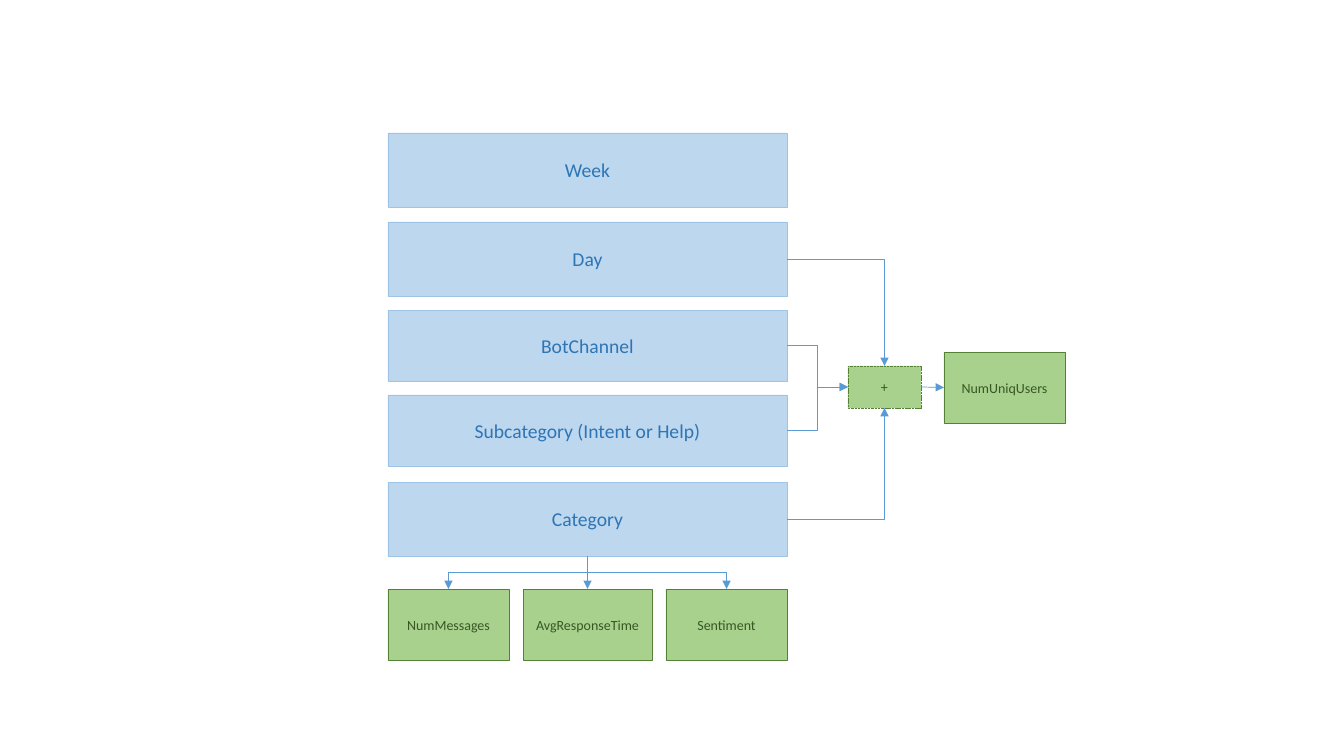
from lxml import etree
from pptx import Presentation
from pptx.dml.color import RGBColor
from pptx.enum.dml import MSO_LINE
from pptx.enum.shapes import MSO_CONNECTOR as CONNECTOR, MSO_SHAPE
from pptx.enum.text import MSO_ANCHOR, PP_ALIGN
from pptx.oxml.ns import qn
from pptx.util import Pt

# Content: levels with top and height, metrics with width
LEVELS = [
    ("Week", 133, 74),
    ("Day", 222, 74),
    ("BotChannel", 310, 71),
    ("Subcategory (Intent or Help)", 395, 71),
    ("Category", 482, 74),
]
METRICS = [("NumMessages", 121), ("AvgResponseTime", 129), ("Sentiment", 121)]
JOIN, RESULT = "+", "NumUniqUsers"

COLORS = {
    "level_fill": "BDD7EE", "level_line": "9DC3E6", "level_text": "2E75B6",
    "metric_fill": "A9D18E", "metric_line": "548235", "metric_text": "385723",
    "arrow": "5B9BD5",
}
FONT = "Calibri"
FONT_SIZES = {"level": 14, "metric": 10}

# Layout in pixels
SCALE = 914400 / 100.8
LEFT, LEVEL_WIDTH = 388, 399
METRIC_TOP, METRIC_HEIGHT = 589, 71
METRIC_GAP = (LEVEL_WIDTH - sum(width for _, width in METRICS)) / (len(METRICS) - 1)
TOP, BOTTOM, RIGHT_SIDE, LEFT_SIDE = 0, 2, 3, 1  # connection sites of a rectangle


def px(value):
    return round(value * SCALE)


def color(name):
    return RGBColor.from_string(COLORS[name])


presentation = Presentation()
presentation.slide_width, presentation.slide_height = px(1344), px(756)
slide = presentation.slides.add_slide(presentation.slide_layouts[6])


def add_box(text, kind, left, top, width, height):
    shape = slide.shapes.add_shape(
        MSO_SHAPE.RECTANGLE, px(left), px(top), px(width), px(height))
    shape.shadow.inherit = False
    shape.fill.solid()
    shape.fill.fore_color.rgb = color(kind + "_fill")
    shape.line.color.rgb = color(kind + "_line")
    shape.line.width = Pt(0.5)
    frame = shape.text_frame
    frame.word_wrap = True
    frame.vertical_anchor = MSO_ANCHOR.MIDDLE
    frame.margin_left = frame.margin_right = px(4)
    paragraph = frame.paragraphs[0]
    paragraph.text = text
    paragraph.alignment = PP_ALIGN.CENTER
    paragraph.font.name = FONT
    paragraph.font.size = Pt(FONT_SIZES[kind])
    paragraph.font.color.rgb = color(kind + "_text")
    return shape


def add_arrow(start, start_site, end, end_site, kind=CONNECTOR.ELBOW):
    connector = slide.shapes.add_connector(kind, 0, 0, 0, 0)
    connector.begin_connect(start, start_site)
    connector.end_connect(end, end_site)
    connector.line.color.rgb = color("arrow")
    connector.line.width = Pt(0.5)
    properties = connector._element.spPr
    line = properties.find(qn("a:ln"))
    etree.SubElement(line, qn("a:tailEnd"), type="triangle")
    etree.SubElement(properties, qn("a:effectLst"))
    return connector


def bend_once(connector):
    connector._element.spPr.find(qn("a:prstGeom")).set("prst", "bentConnector2")


def turn_downward(connector):
    """Rotate an elbow so that it leaves and arrives vertically."""
    to_right = connector.end_x > connector.begin_x
    left, top = connector.left, connector.top
    width, height = connector.width, connector.height
    connector.left = left + (width - height) // 2
    connector.top = top + (height - width) // 2
    connector.width, connector.height = height, width
    frame = connector._element.spPr.find(qn("a:xfrm"))
    for flip in ("flipH", "flipV"):
        frame.attrib.pop(flip, None)
    frame.set("rot", str((270 if to_right else 90) * 60000))
    if to_right:
        frame.set("flipH", "1")


# Levels
levels = {name: add_box(name, "level", LEFT, top, LEVEL_WIDTH, height)
          for name, top, height in LEVELS}

# Metrics under the category
metrics = []
metric_left = LEFT
for name, width in METRICS:
    metrics.append(add_box(name, "metric", metric_left, METRIC_TOP, width, METRIC_HEIGHT))
    metric_left += width + METRIC_GAP

# Joined metric on the right
join = add_box(JOIN, "metric", 848, 366, 73, 42)
join.line.width = Pt(0.25)
join.line.dash_style = MSO_LINE.SQUARE_DOT
result = add_box(RESULT, "metric", 944, 352, 121, METRIC_HEIGHT)

# Arrows into the join and on to the result
for name, site in (("Day", TOP), ("Category", BOTTOM)):
    bend_once(add_arrow(levels[name], RIGHT_SIDE, join, site))
for name in ("BotChannel", "Subcategory (Intent or Help)"):
    add_arrow(levels[name], RIGHT_SIDE, join, LEFT_SIDE)
add_arrow(join, RIGHT_SIDE, result, LEFT_SIDE, CONNECTOR.STRAIGHT)

# Arrows from the category down to its metrics
for metric in metrics:
    turn_downward(add_arrow(levels["Category"], BOTTOM, metric, TOP))

presentation.save("out.pptx")
